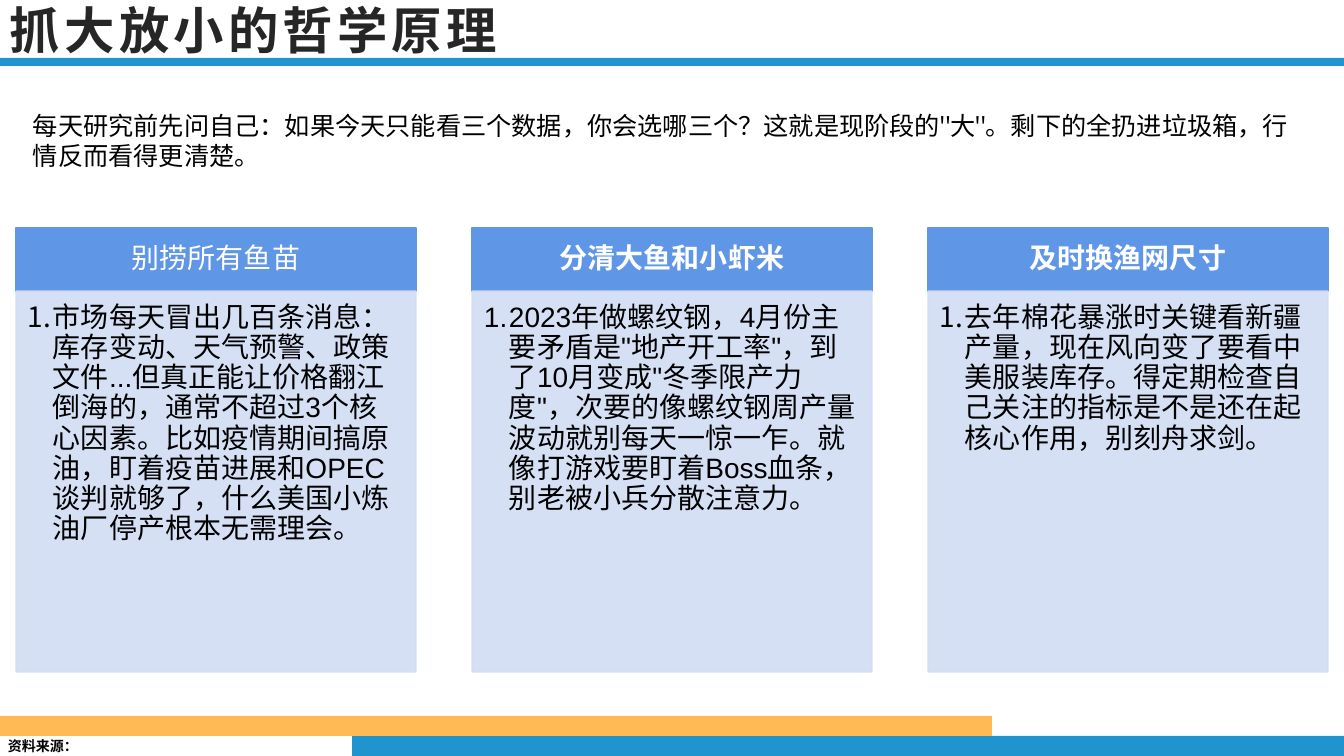
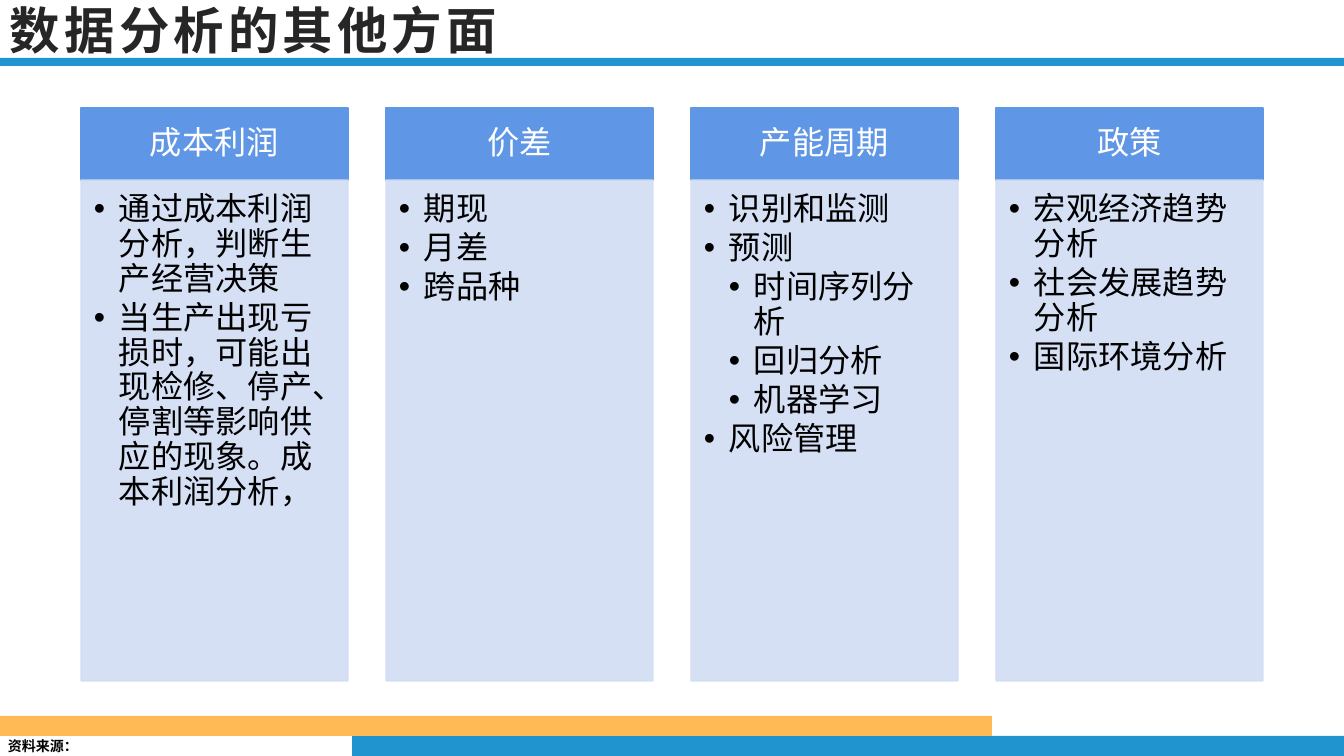
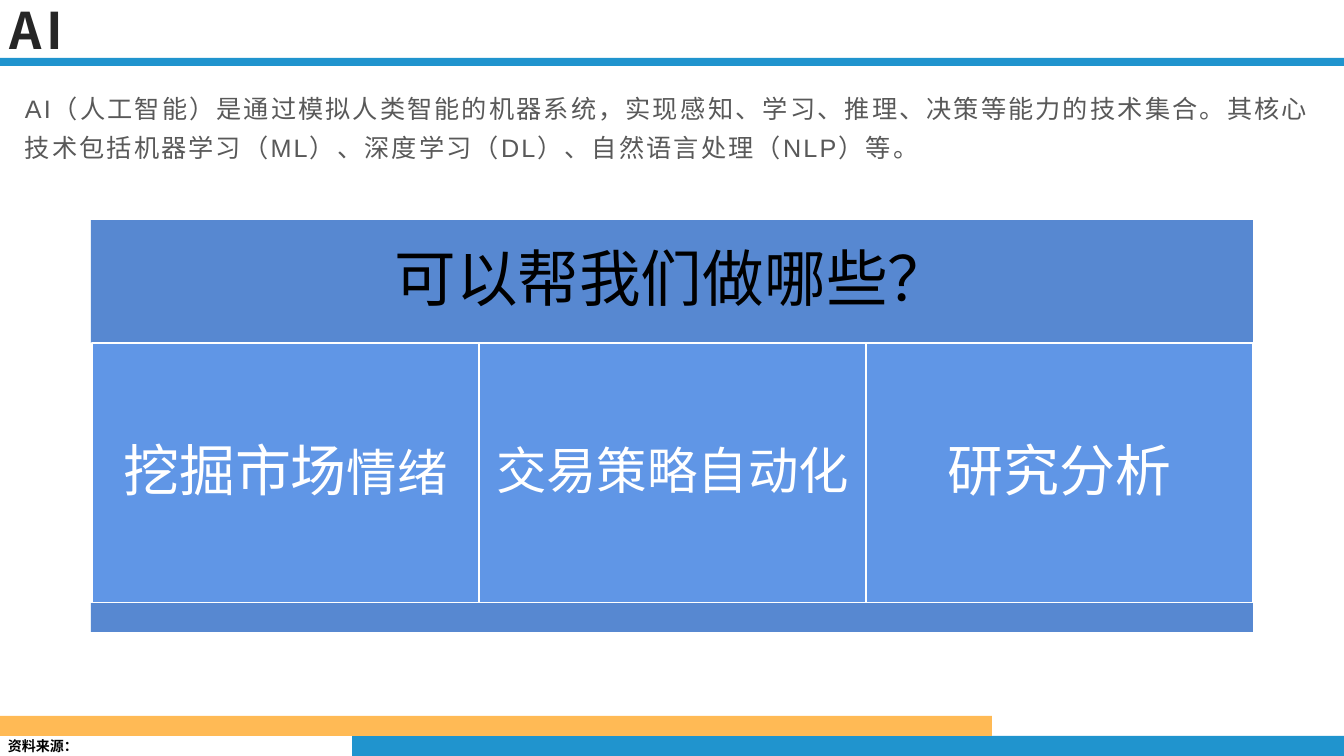
import pptx
import pptx.util
import pptx.dml.color
import pptx.enum.shapes
import pptx.enum.text
import pptx.oxml.ns
import lxml.etree

SCALE = 914400 / 100.8
ALIGN = pptx.enum.text.PP_ALIGN
ANCHOR = pptx.enum.text.MSO_ANCHOR


def px(length):
    return pptx.util.Emu(round(length * SCALE))


def color(value):
    return pptx.dml.color.RGBColor.from_string(value)


def add_element(parent, tag, **attributes):
    return lxml.etree.SubElement(parent, pptx.oxml.ns.qn(tag), attributes)


class Deck:
    WIDTH, HEIGHT = 1344, 756
    CJK, LATIN = "Noto Sans CJK SC", "Arial"
    BLUE, ORANGE, BLACK, WHITE = "2094CE", "FFBA55", "000000", "FFFFFF"
    HEADER, PANEL, BAND = "6096E6", "D2DDF5", "5788D1"
    INDENT = 25

    def __init__(self):
        self.presentation = pptx.Presentation()
        self.presentation.slide_width = px(self.WIDTH)
        self.presentation.slide_height = px(self.HEIGHT)
        self.slide = None

    def add_slide(self, title):
        layout = self.presentation.slide_layouts[6]
        self.slide = self.presentation.slides.add_slide(layout)
        self.rectangle(352, 736, 992, 20, self.BLUE)
        self.rectangle(0, 716, 992, 20, self.ORANGE)
        self.rectangle(0, 58, self.WIDTH, 8, self.BLUE)
        source = self.text_box(-2, 733, 100, 27)
        self.paragraph(source, [("资料来源：", 10)], font=self.CJK, bold=True)
        heading = self.text_box(0, 0, 1153, 58, ANCHOR.MIDDLE)
        self.paragraph(heading, [(title, 36)], font=self.CJK, ink="262626",
                       bold=True, tracking=3)

    def rectangle(self, left, top, width, height, fill, line=None, opacity=100):
        shape = self.slide.shapes.add_shape(
            pptx.enum.shapes.MSO_SHAPE.RECTANGLE,
            px(left), px(top), px(width), px(height))
        shape.shadow.inherit = False
        shape.fill.solid()
        shape.fill.fore_color.rgb = color(fill)
        if line:
            shape.line.color.rgb = color(line)
            shape.line.width = pptx.util.Pt(1)
        else:
            shape.line.fill.background()
        if opacity < 100:
            for tint in list(shape._element.iter(pptx.oxml.ns.qn("a:srgbClr"))):
                add_element(tint, "a:alpha", val=str(opacity * 1000))
        return shape

    def frame(self, shape, insets, anchor):
        frame = shape.text_frame
        frame.word_wrap = True
        frame.vertical_anchor = anchor
        (frame.margin_left, frame.margin_top,
         frame.margin_right, frame.margin_bottom) = map(px, insets)
        return frame

    def text_box(self, left, top, width, height, anchor=ANCHOR.TOP):
        shape = self.slide.shapes.add_textbox(
            px(left), px(top), px(width), px(height))
        return self.frame(shape, (10, 5, 10, 5), anchor)

    def paragraph(self, frame, runs, font=LATIN, ink=BLACK, bold=False,
                  tracking=0, align=ALIGN.LEFT, spacing=1.0, after=0,
                  bullet=None, level=1):
        paragraph = frame.paragraphs[0]
        if paragraph.runs:
            paragraph = frame.add_paragraph()
        paragraph.alignment = align
        paragraph.line_spacing = spacing
        paragraph.space_after = pptx.util.Pt(after)
        if bullet:
            properties = paragraph._p.get_or_add_pPr()
            properties.set("marL", str(px(self.INDENT * level)))
            properties.set("indent", str(-px(self.INDENT)))
            add_element(properties, "a:buFont", typeface=self.LATIN)
            if bullet == "1.":
                add_element(properties, "a:buAutoNum", type="arabicPeriod")
            else:
                add_element(properties, "a:buChar", char=bullet)
        for text, size in runs:
            run = paragraph.add_run()
            run.text = text
            run.font.size = pptx.util.Pt(size)
            run.font.bold = bold
            run.font.color.rgb = color(ink)
            run.font.name = font
            properties = run._r.get_or_add_rPr()
            properties.set("lang", "zh-CN")
            if tracking:
                properties.set("spc", str(int(tracking * 100)))
            add_element(properties, "a:ea", typeface=self.CJK)

    def label(self, shape, runs, insets, ink=WHITE, bold=False):
        frame = self.frame(shape, insets, ANCHOR.MIDDLE)
        self.paragraph(frame, runs, ink=ink, bold=bold,
                       align=ALIGN.CENTER, spacing=0.9)

    def card(self, left, top, width, header_height, body_height, size, bullet,
             title, items, header_insets, body_insets, bold=False):
        header = self.rectangle(left, top, width, header_height,
                                self.HEADER, self.HEADER)
        self.label(header, [(title, size)], header_insets, bold=bold)
        body = self.rectangle(left, top + header_height, width, body_height,
                              self.PANEL, self.PANEL, 90)
        frame = self.frame(body, body_insets, ANCHOR.TOP)
        for level, text in items:
            self.paragraph(frame, [(text, size)], align=ALIGN.LEFT, spacing=0.9,
                           after=3, bullet=bullet, level=level)


def principle_slide(deck):
    deck.add_slide("抓大放小的哲学原理")
    cards = [
        ("别捞所有鱼苗", False,
         "市场每天冒出几百条消息：库存变动、天气预警、政策文件...但真正能让价格翻江倒海的，"
         "通常不超过3个核心因素。比如疫情期间搞原油，盯着疫苗进展和OPEC谈判就够了，"
         "什么美国小炼油厂停产根本无需理会。"),
        ("分清大鱼和小虾米", True,
         "2023年做螺纹钢，4月份主要矛盾是\"地产开工率\"，到了10月变成\"冬季限产力度\"，"
         "次要的像螺纹钢周产量波动就别每天一惊一乍。就像打游戏要盯着Boss血条，"
         "别老被小兵分散注意力。"),
        ("及时换渔网尺寸", True,
         "去年棉花暴涨时关键看新疆产量，现在风向变了要看中美服装库存。"
         "得定期检查自己关注的指标是不是还在起核心作用，别刻舟求剑。"),
    ]
    for column, (title, bold, text) in enumerate(cards):
        deck.card(16 + 456 * column, 228, 400, 63, 381, 20, "1.", title,
                  [(1, text)], (16, 9, 16, 9), (12, 12, 16, 17), bold)
    intro = deck.text_box(23, 105, 1292, 80)
    deck.paragraph(intro, [(
        "每天研究前先问自己：如果今天只能看三个数据，你会选哪三个？"
        "这就是现阶段的\"大\"。剩下的全扔进垃圾箱，行情反而看得更清楚。", 18)],
        font="Cabin")


def aspects_slide(deck):
    deck.add_slide("数据分析的其他方面")
    cards = [
        ("成本利润", [
            (1, "通过成本利润分析，判断生产经营决策"),
            (1, "当生产出现亏损时，可能出现检修、停产、停割等影响供应的现象。成本利润分析，")]),
        ("价差", [(1, "期现"), (1, "月差"), (1, "跨品种")]),
        ("产能周期", [
            (1, "识别和监测"), (1, "预测"), (2, "时间序列分析"),
            (2, "回归分析"), (2, "机器学习"), (1, "风险管理")]),
        ("政策", [
            (1, "宏观经济趋势分析"), (1, "社会发展趋势分析"), (1, "国际环境分析")]),
    ]
    for column, (title, items) in enumerate(cards):
        deck.card(81 + 305 * column, 108, 267, 72, 501, 23, "•", title, items,
                  (18, 10, 18, 10), (13, 13, 18, 20))


def ai_slide(deck):
    deck.add_slide("AI")
    intro = deck.text_box(15, 79, 1313, 86)
    deck.paragraph(intro, [(
        "AI（人工智能）是通过模拟人类智能的机器系统，实现感知、学习、推理、决策等能力的技术集合。"
        "其核心技术包括机器学习（ML）、深度学习（DL）、自然语言处理（NLP）等。", 18)],
        ink="595959", tracking=1.5, spacing=1.3)
    question = deck.rectangle(91, 220, 1162, 123, deck.BAND)
    deck.label(question, [("可以帮我们做哪些？", 44)], (18,) * 4, ink=deck.BLACK)
    uses = [
        [("挖掘市场", 40), ("情绪", 36)],
        [("交易策略自动化", 36)],
        [("研究分析", 40)],
    ]
    for column, runs in enumerate(uses):
        cell = deck.rectangle(92 + 387 * column, 343, 387, 260,
                              deck.HEADER, deck.WHITE)
        deck.label(cell, runs, (16,) * 4)
    deck.rectangle(91, 603, 1162, 29, deck.BAND)


def main():
    deck = Deck()
    principle_slide(deck)
    aspects_slide(deck)
    ai_slide(deck)
    deck.presentation.save("out.pptx")


if __name__ == "__main__":
    main()
